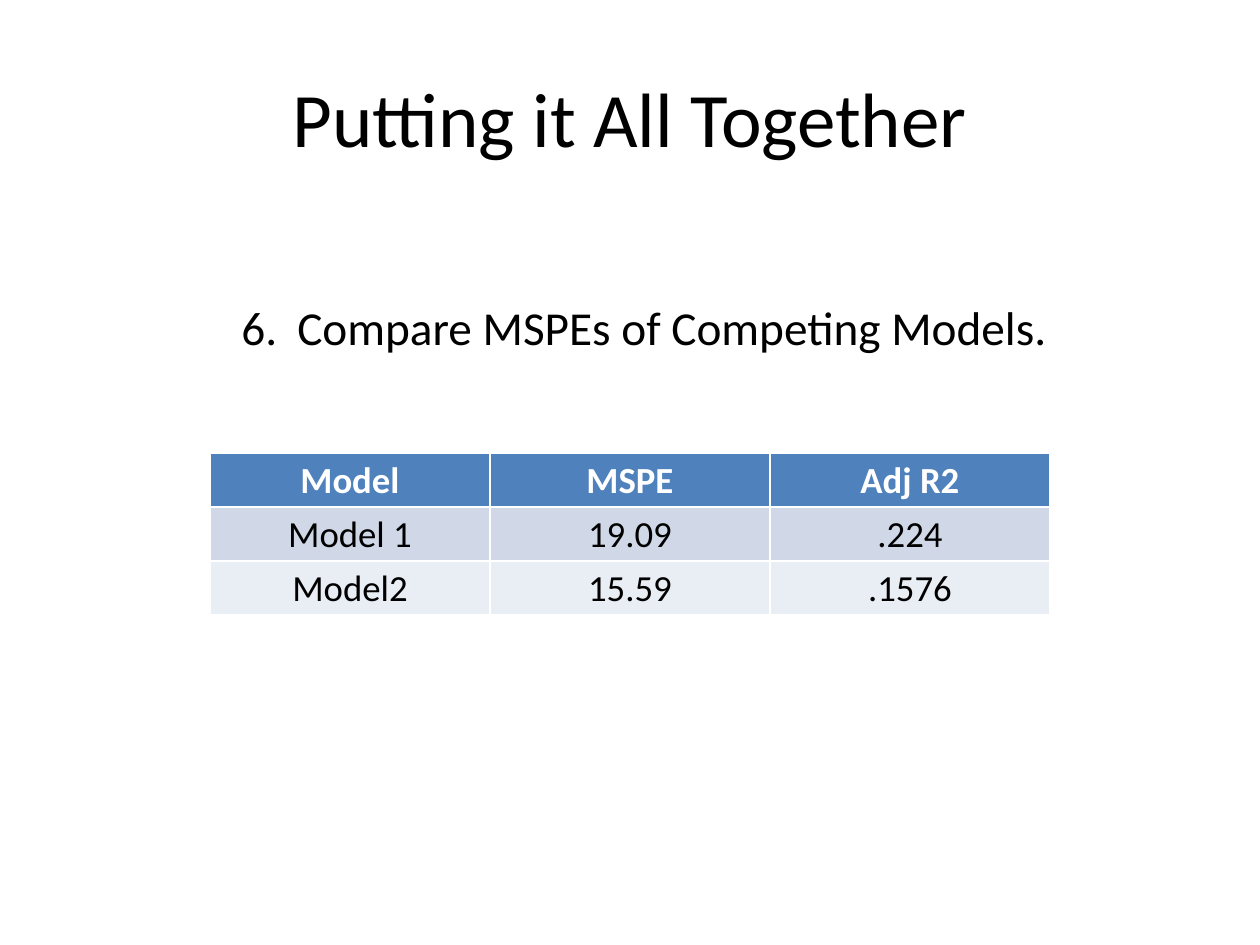
"""Build the model comparison slide."""
from lxml import etree
from pptx import Presentation
from pptx import util as u
from pptx.dml.color import RGBColor
from pptx.enum import text
from pptx.oxml import ns

PX = 914400 / 126
BLACK = RGBColor(0x00, 0x00, 0x00)
WHITE = RGBColor(0xFF, 0xFF, 0xFF)
HEADER_BLUE = RGBColor(0x4F, 0x81, 0xBD)
BANDS = (RGBColor(0xE9, 0xED, 0xF4), RGBColor(0xD0, 0xD8, 0xE8))
ROWS = (
    ("Model", "MSPE", "Adj R2"),
    ("Model 1", "19.09", ".224"),
    ("Model2", "15.59", ".1576"),
)


def px(length):
    """Turn pixels into EMU."""
    return u.Emu(round(length * PX))


def set_attributes(target, values):
    """Set every attribute named in values."""
    for name, value in values.items():
        setattr(target, name, value)


def format_paragraph(paragraph, size, color=BLACK, bold=False,
                     alignment=text.PP_ALIGN.CENTER):
    """Set the alignment and font of a paragraph."""
    paragraph.alignment = alignment
    set_attributes(paragraph.font, {"name": "Calibri", "size": u.Pt(size), "bold": bold})
    paragraph.font.color.rgb = color


def add_tab_stop(paragraph, position):
    """Give a paragraph one left tab stop."""
    tabs = etree.SubElement(paragraph._p.get_or_add_pPr(), ns.qn("a:tabLst"))
    etree.SubElement(tabs, ns.qn("a:tab"), pos=str(px(position)), algn="l")


def add_text(slide, words, box, size, tab=None, anchor=text.MSO_ANCHOR.TOP,
             alignment=text.PP_ALIGN.LEFT):
    """Add a one-paragraph text box."""
    frame = slide.shapes.add_textbox(*map(px, box)).text_frame
    set_attributes(frame, {"word_wrap": True, "vertical_anchor": anchor, "text": words})
    paragraph = frame.paragraphs[0]
    if tab:
        add_tab_stop(paragraph, tab)
    format_paragraph(paragraph, size, alignment=alignment)


def add_model_table(slide, left, top, column_width, row_height):
    """Add the banded table of models."""
    columns = len(ROWS[0])
    table = slide.shapes.add_table(
        len(ROWS), columns, px(left), px(top),
        px(column_width * columns), px(row_height * len(ROWS))).table
    margins = {"margin_left": px(9), "margin_right": px(9),
               "margin_top": px(5), "margin_bottom": px(5)}
    for row, values in enumerate(ROWS):
        header = row == 0
        for column, value in enumerate(values):
            cell = table.cell(row, column)
            set_attributes(cell, {"text": value, **margins})
            cell.fill.solid()
            cell.fill.fore_color.rgb = HEADER_BLUE if header else BANDS[row % 2]
            format_paragraph(cell.text_frame.paragraphs[0], 21,
                             WHITE if header else BLACK, header)


def main():
    """Build and save the slide."""
    presentation = Presentation()
    set_attributes(presentation, {"slide_width": px(1260), "slide_height": px(945)})
    slide = presentation.slides.add_slide(presentation.slide_layouts[6])
    add_text(slide, "Putting it All Together", (63, 38, 1134, 158), 44,
             anchor=text.MSO_ANCHOR.MIDDLE, alignment=text.PP_ALIGN.CENTER)
    add_text(slide, "6.\tCompare MSPEs of Competing Models.", (229, 292, 893, 71), 27, tab=56)
    add_model_table(slide, 210, 453, 280, 53)
    presentation.save("out.pptx")


if __name__ == "__main__":
    main()
